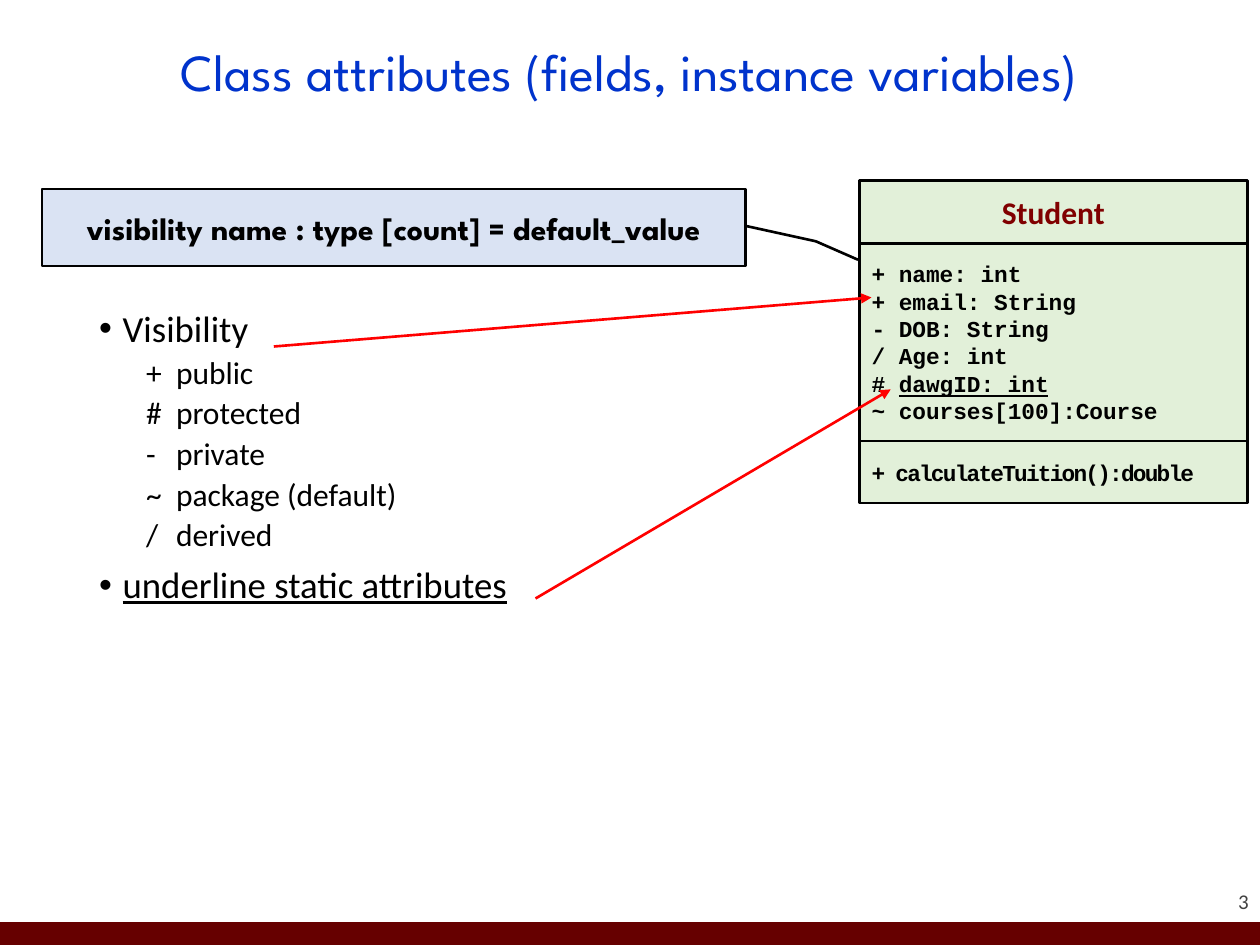
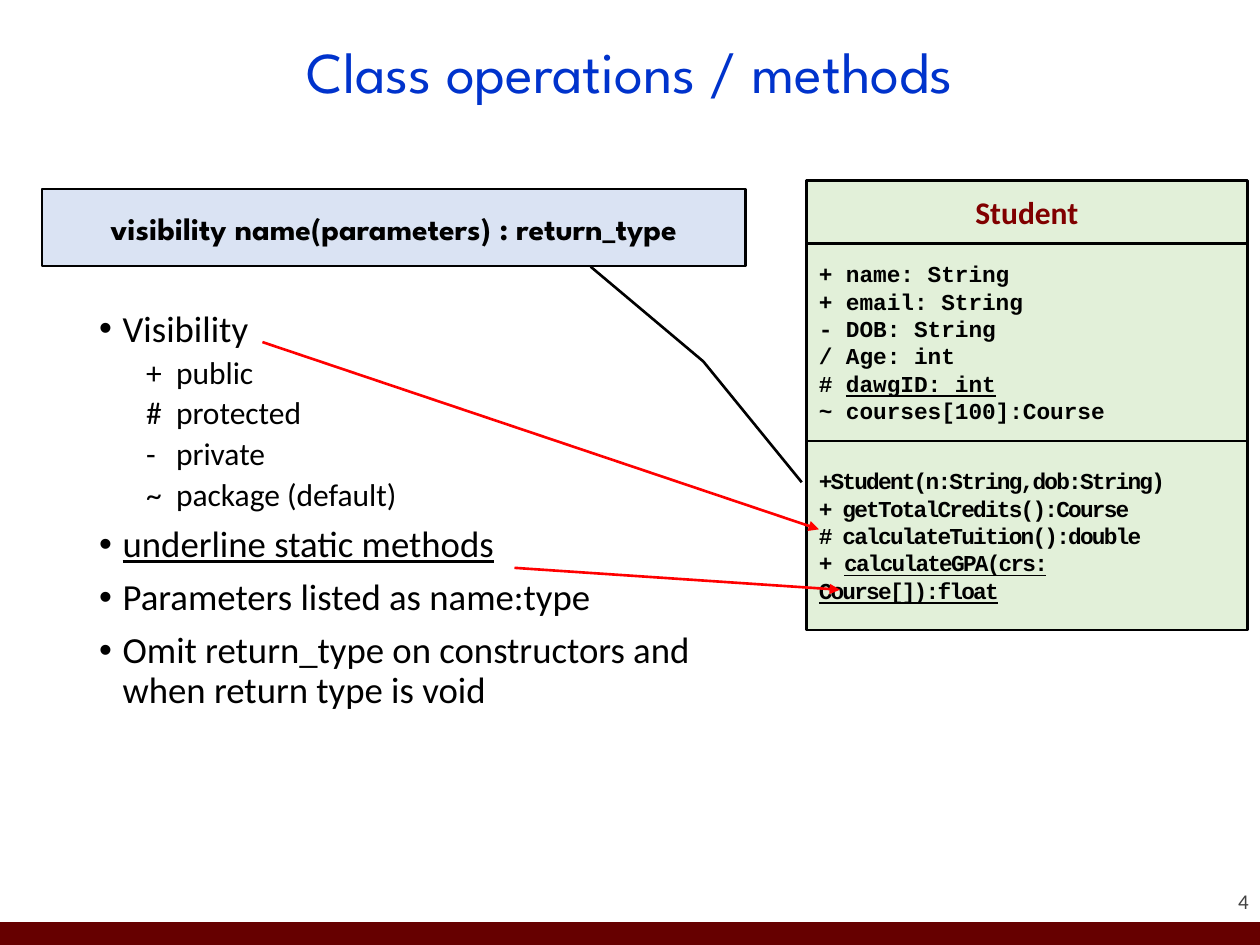
from lxml.etree import SubElement
from pptx import Presentation
from pptx.dml.color import RGBColor
from pptx.enum.shapes import MSO_CONNECTOR, MSO_SHAPE
from pptx.enum.text import MSO_ANCHOR, PP_ALIGN
from pptx.oxml.ns import qn
from pptx.util import Pt

BLACK = RGBColor(0x00, 0x00, 0x00)
BLUE = RGBColor(0x00, 0x33, 0xCC)
MAROON = RGBColor(0x66, 0x00, 0x00)
CLASS_RED = RGBColor(0x80, 0x00, 0x00)
ARROW_RED = RGBColor(0xFF, 0x00, 0x00)
GREY = RGBColor(0x42, 0x42, 0x42)
PALE_GREEN = RGBColor(0xE2, 0xF0, 0xD9)
PALE_BLUE = RGBColor(0xDA, 0xE3, 0xF3)

BODY_FONT = "Calibri"
HEADING_FONT = "League Spartan"
CODE_FONT = "Courier New"
CLASS_RIGHT = 712.8
CLASS_TOP = 103

VISIBILITY = ["+\tpublic", "#\tprotected", "-\tprivate", "~\tpackage (default)"]
SHARED_ATTRIBUTES = [
    "+ email: String",
    "- DOB: String",
    "/ Age: int",
    "# |dawgID: int",
    "~ courses[100]:Course",
]

PAGES = [
    {
        "number": "3",
        "title": "Class attributes (fields, instance variables)",
        "title_size": 29.7,
        "bullets": ["Visibility", *VISIBILITY, "/\tderived", "|underline static attributes"],
        "class_left": 491,
        "attributes": ["+ name: int", *SHARED_ATTRIBUTES],
        "methods": ["+ calculateTuition():double"],
        "methods_height": 35.5,
        "arrows": [(156.5, 198, 498, 170), (306, 342, 509, 222.5)],
        "syntax": "visibility name : type [count] = default_value",
        "callout": [0.476, 0.998, 0.681, 1.103, 0.918, 1.161],
    },
    {
        "number": "4",
        "title": "Class operations / methods",
        "title_size": 33,
        "bullets": [
            "Visibility",
            *VISIBILITY,
            "|underline static methods",
            "Parameters listed as name:type",
            "Omit return_type on constructors and when return type is void",
        ],
        "class_left": 460.8,
        "attributes": ["+ name: String", *SHARED_ATTRIBUTES],
        "methods": [
            "+Student(n:String,dob:String)",
            "+ getTotalCredits():Course",
            "# calculateTuition():double",
            "+ |calculateGPA(crs: Course[]):float",
        ],
        "methods_height": 108,
        "arrows": [(150, 195.5, 468, 302.5), (294, 324.5, 480, 337)],
        "syntax": "visibility name(parameters) : return_type",
        "callout": [1.007, 0.784, 2.241, 0.944, 3.807, 1.084],
    },
]


def write(box, text, size, font=BODY_FONT, color=BLACK, bold=False, align=PP_ALIGN.LEFT,
          line_spacing=1.0, space_before=0, tracking=None):
    frame = box.text_frame
    started = bool(frame.paragraphs[0].runs)
    para = frame.add_paragraph() if started else frame.paragraphs[0]
    para.alignment = align
    para.line_spacing = line_spacing
    para.space_before = Pt(space_before if started else 0)
    for index, part in enumerate(text.split("|")):
        if not part:
            continue
        span = para.add_run()
        span.text = part
        span.font.size = Pt(size)
        span.font.name = font
        span.font.bold = bold
        span.font.underline = index % 2 == 1
        span.font.color.rgb = color
        if tracking is not None:
            span.font._element.set("spc", str(tracking))
    return para


def add_box(shapes, left, top, width, height, kind=None, fill=None, line=None,
            anchor=MSO_ANCHOR.MIDDLE):
    place = [Pt(value) for value in (left, top, width, height)]
    if kind is None:
        box = shapes.add_textbox(*place)
    else:
        box = shapes.add_shape(kind, *place)
        box.shadow.inherit = False
        box.fill.solid()
        box.fill.fore_color.rgb = fill
        if line is None:
            box.line.fill.background()
        else:
            box.line.color.rgb = line
            box.line.width = Pt(1.5)
    box.text_frame.word_wrap = True
    box.text_frame.vertical_anchor = anchor
    return box


deck = Presentation()
deck.slide_width = Pt(720)
deck.slide_height = Pt(540)

for content in PAGES:
    page = deck.slides.add_slide(deck.slide_layouts[6])
    add_box(page.shapes, 0, 527, 720, 13, MSO_SHAPE.RECTANGLE, MAROON)

    number = add_box(page.shapes, 654, 493, 59.5, 29, anchor=MSO_ANCHOR.BOTTOM)
    frame = number.text_frame
    frame.margin_left = frame.margin_right = frame.margin_top = frame.margin_bottom = 0
    write(number, content["number"], 12, color=GREY, align=PP_ALIGN.RIGHT)

    title = add_box(page.shapes, 49.5, 8.5, 621, 68)
    write(title, content["title"], content["title_size"], font=HEADING_FONT, color=BLUE,
          align=PP_ALIGN.CENTER, line_spacing=0.9)

    body = add_box(page.shapes, 49.5, 174, 394.5, 312.5, anchor=MSO_ANCHOR.TOP)
    for text in content["bullets"]:
        nested = "\t" in text
        para = write(body, text, 18 if nested else 21, line_spacing=0.9,
                     space_before=3.8 if nested else 7.5)
        properties = para._p.get_or_add_pPr()
        margin, hanging = (44, 17) if nested else (13.5, 13.5)
        properties.set("marL", str(Pt(margin)))
        properties.set("indent", str(-Pt(hanging)))
        if nested:
            properties.set("lvl", "1")
            SubElement(properties, qn("a:buNone"))
            tabs = SubElement(properties, qn("a:tabLst"))
            SubElement(tabs, qn("a:tab"), pos=str(Pt(margin)), algn="l")
        else:
            SubElement(properties, qn("a:buFont"), typeface="Arial")
            SubElement(properties, qn("a:buChar"), char="•")

    class_diagram = page.shapes.add_group_shape()
    code = {"size": 13, "font": CODE_FONT, "bold": True}
    name_style = {"size": 18, "color": CLASS_RED, "bold": True, "align": PP_ALIGN.CENTER}
    compartments = [
        (["Student"], 36, name_style),
        (content["attributes"], 113, code),
        (content["methods"], content["methods_height"], {**code, "tracking": -100}),
    ]
    left = content["class_left"]
    top = CLASS_TOP
    for lines, height, style in compartments:
        compartment = add_box(class_diagram.shapes, left, top, CLASS_RIGHT - left, height,
                              MSO_SHAPE.FLOWCHART_PROCESS, PALE_GREEN, BLACK)
        for text in lines:
            write(compartment, text, **style)
        top += height

    for ends in content["arrows"]:
        arrow = page.shapes.add_connector(MSO_CONNECTOR.STRAIGHT, *[Pt(end) for end in ends])
        arrow.line.color.rgb = ARROW_RED
        arrow.line.width = Pt(1.5)
        SubElement(arrow.line._get_or_add_ln(), qn("a:tailEnd"), type="triangle")
        SubElement(arrow._element.spPr, qn("a:effectLst"))

    syntax = add_box(page.shapes, 24, 108, 402, 44, MSO_SHAPE.LINE_CALLOUT_2, PALE_BLUE, BLACK)
    for index, value in enumerate(content["callout"]):
        syntax.adjustments[index] = round(value, 2)
    write(syntax, content["syntax"], 18, font=HEADING_FONT, bold=True, align=PP_ALIGN.CENTER)

deck.save("out.pptx")
